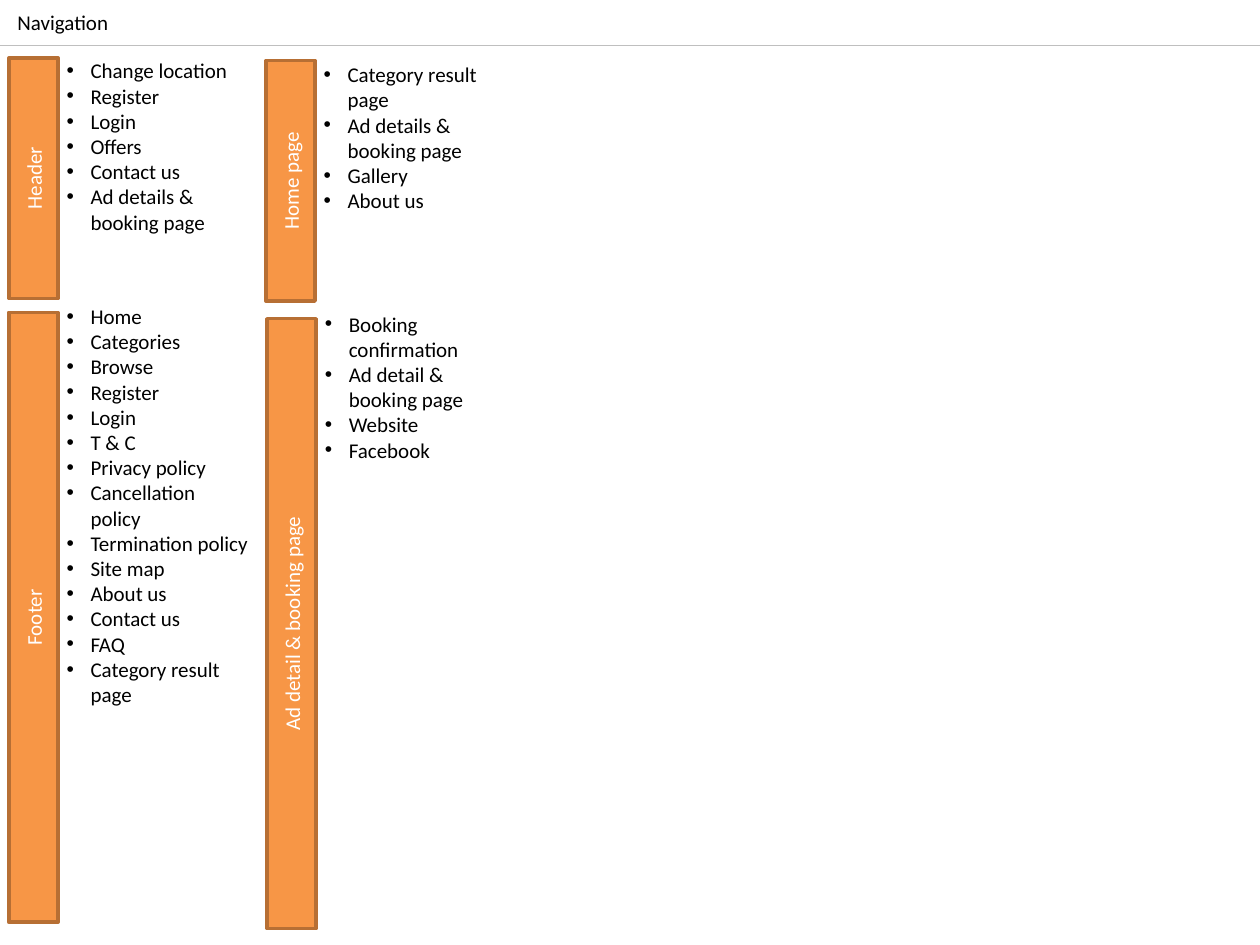
from lxml import etree
from pptx import Presentation
from pptx.dml.color import RGBColor
from pptx.enum.shapes import MSO_CONNECTOR, MSO_SHAPE
from pptx.enum.text import MSO_ANCHOR, PP_ALIGN
from pptx.oxml.ns import qn
from pptx.util import Inches, Pt

RECTANGLE = MSO_SHAPE.RECTANGLE
STRAIGHT = MSO_CONNECTOR.STRAIGHT
MIDDLE = MSO_ANCHOR.MIDDLE
CENTER = PP_ALIGN.CENTER

COLORS = {
    "text": "000000",
    "label": "FFFFFF",
    "bar": "F79646",
    "bar_edge": "B76F34",
    "rule": "BFBFBF",
}

BAR_WIDTH = 0.39
LIST_OFFSET = 0.36
LIST_WIDTH = 1.65

# Label, bar left, bar top, bar height, list top, list height, entries
SECTIONS = [
    ("Header", 0.07, 0.46, 1.91, 0.41, 1.95,
     ["Change location", "Register", "Login", "Offers", "Contact us",
      "Ad details & booking page"]),
    ("Footer", 0.07, 2.48, 4.84, 2.36, 4.96,
     ["Home", "Categories", "Browse", "Register", "Login", "T & C",
      "Privacy policy", "Cancellation policy", "Termination policy",
      "Site map", "About us", "Contact us", "FAQ", "Category result page"]),
    ("Home page", 2.11, 0.48, 1.91, 0.44, 1.95,
     ["Category result page", "Ad details & booking page", "Gallery",
      "About us"]),
    ("Ad detail & booking page", 2.12, 2.53, 4.84, 2.42, 4.96,
     ["Booking confirmation", "Ad detail & booking page", "Website",
      "Facebook"]),
]


class NavigationPage:
    font = "Calibri"
    size = Pt(12)

    def __init__(self, page):
        self.page = page

    def color(self, name):
        return RGBColor.from_string(COLORS[name])

    def fill_text(self, frame, text, color):
        frame.word_wrap = True
        frame.text = text
        for para in frame.paragraphs:
            for span in para.runs:
                span.font.name = self.font
                span.font.size = self.size
                span.font.color.rgb = self.color(color)

    def rule(self, top, width):
        line = self.page.shapes.add_connector(
            STRAIGHT, 0, Inches(top), Inches(width), Inches(top))
        line.line.color.rgb = self.color("rule")
        line.line.width = Pt(0.75)
        etree.SubElement(line._element.spPr, qn("a:effectLst"))

    def text(self, left, top, width, height, text):
        box = self.page.shapes.add_textbox(
            Inches(left), Inches(top), Inches(width), Inches(height))
        self.fill_text(box.text_frame, text, "text")
        return box

    def bullets(self, left, top, width, height, entries):
        box = self.text(left, top, width, height, "\n".join(entries))
        for para in box.text_frame.paragraphs:
            properties = para._p.get_or_add_pPr()
            properties.set("marL", str(Inches(0.19)))
            properties.set("indent", str(Inches(-0.19)))
            etree.SubElement(properties, qn("a:buFont"), typeface="Arial")
            etree.SubElement(properties, qn("a:buChar"), char="•")

    def bar(self, left, top, width, height, label):
        box = self.page.shapes.add_shape(
            RECTANGLE, Inches(left), Inches(top), Inches(width), Inches(height))
        box.shadow.inherit = False
        box.fill.solid()
        box.fill.fore_color.rgb = self.color("bar")
        box.line.color.rgb = self.color("bar_edge")
        box.line.width = Pt(2)
        frame = box.text_frame
        self.fill_text(frame, label, "label")
        frame.vertical_anchor = MIDDLE
        frame.paragraphs[0].alignment = CENTER
        frame._txBody.bodyPr.set("vert", "vert270")


def main():
    deck = Presentation()
    deck.slide_width = Inches(10)
    deck.slide_height = Inches(7.5)
    navigation = NavigationPage(deck.slides.add_slide(deck.slide_layouts[6]))

    # Title strip
    navigation.rule(0.36, 10)
    navigation.text(0.04, 0.03, 8.43, 0.3, "Navigation")

    # Sections: an upright label bar with its list of links
    for label, left, top, height, list_top, list_height, entries in SECTIONS:
        navigation.bar(left, top, BAR_WIDTH, height, label)
        navigation.bullets(
            left + LIST_OFFSET, list_top, LIST_WIDTH, list_height, entries)

    deck.save("out.pptx")


if __name__ == "__main__":
    main()
